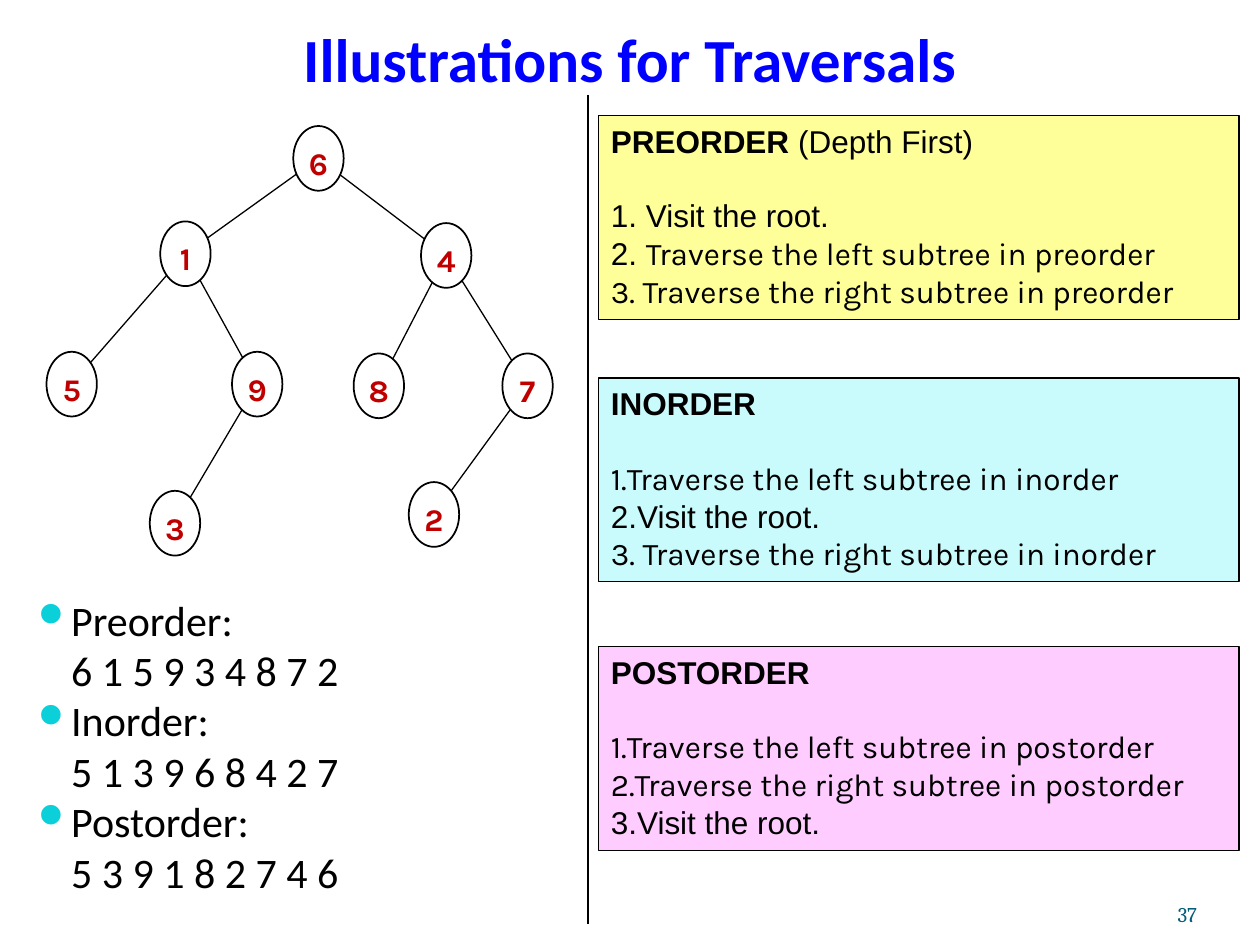
from dataclasses import dataclass
from math import hypot
from lxml.etree import SubElement as Sub
from pptx import Presentation
from pptx.dml.color import RGBColor as Rgb
from pptx.enum.shapes import MSO_CONNECTOR as Conn, MSO_SHAPE as Kind
from pptx.enum.text import MSO_ANCHOR as Anchor, PP_ALIGN as Align
from pptx.oxml.ns import qn
from pptx.util import Pt


@dataclass(frozen=True)
class Theme:
    ink: str = "000000"
    title: str = "0000FF"
    node: str = "C00000"
    dot: str = "0BD0D9"
    page: str = "045C75"
    pre: str = "FFFF99"
    mid: str = "C9FAFC"
    post: str = "FFCCFF"
    head: str = "Calibri"
    sans: str = "Arial"
    step: str = "Karla"
    serif: str = "Cambria"
    big: float = 35
    list: float = 24
    text: float = 18
    small: float = 12


T = Theme()

NODES = {
    "6": (156, 18.5), "1": (80, 73), "4": (229, 74),
    "5": (15, 147.5), "9": (121, 147.5), "8": (190.5, 148.5),
    "7": (275.5, 148.5), "3": (74, 227), "2": (222, 222),
}
EDGES = ["61", "64", "15", "19", "48", "47", "72", "93"]

ORDERS = [
    ("Preorder:", "6 1 5 9 3 4 8 7 2"),
    ("Inorder:", "5 1 3 9 6 8 4 2 7"),
    ("Postorder:", "5 3 9 1 8 2 7 4 6"),
]

PANELS = [
    (66, T.pre, "PREORDER", " (Depth First)", [
        (False, [("1. Visit the root.", T.sans)]),
        (False, [("2. ", T.sans),
                 ("Traverse the left subtree in preorder", T.step)]),
        (False, [("3. Traverse the right subtree in preorder", T.step)]),
    ]),
    (216, T.mid, "INORDER", "", [
        (True, [("Traverse the left subtree in inorder", T.step)]),
        (True, [("Visit the root.", T.sans)]),
        (False, [("3. Traverse the right subtree in inorder", T.step)]),
    ]),
    (369.5, T.post, "POSTORDER", "", [
        (True, [("Traverse the left subtree in postorder", T.step)]),
        (True, [("Traverse the right subtree in postorder", T.step)]),
        (True, [("Visit the root.", T.sans)]),
    ]),
]


def style(font, name, size, color, bold=False):
    font.name, font.size, font.bold = name, Pt(size), bold
    font.color.rgb = Rgb.from_string(color)


def inset(frame, left, top, right, low):
    frame.margin_left, frame.margin_top = Pt(left), Pt(top)
    frame.margin_right, frame.margin_bottom = Pt(right), Pt(low)


def indent(para, left, first):
    props = para._p.get_or_add_pPr()
    props.set("marL", str(Pt(left)))
    props.set("indent", str(Pt(first)))
    return props


def add_run(para, text, name, size, color, bold=False):
    run = para.add_run()
    run.text = text
    style(run.font, name, size, color, bold)


def add_line(shapes, start, end):
    line = shapes.add_connector(Conn.STRAIGHT, *map(Pt, start + end))
    line.line.color.rgb = Rgb.from_string(T.ink)
    line.line.width = Pt(0.75)
    Sub(line._element.spPr, qn("a:effectLst"))


def add_shape(shapes, kind, box, fill, width):
    shape = shapes.add_shape(kind, *map(Pt, box))
    shape.shadow.inherit = False
    if fill:
        shape.fill.solid()
        shape.fill.fore_color.rgb = Rgb.from_string(fill)
    else:
        shape.fill.background()
    shape.line.color.rgb = Rgb.from_string(T.ink)
    shape.line.width = Pt(width)
    return shape


def add_title(slide, box):
    title = slide.shapes.title
    title.left, title.top, title.width, title.height = map(Pt, box)
    frame = title.text_frame
    frame.text = "Illustrations for Traversals"
    frame.vertical_anchor = Anchor.BOTTOM
    inset(frame, 0, 3.6, 0, 0)
    para = frame.paragraphs[0]
    para.alignment = Align.CENTER
    style(para.runs[0].font, T.head, T.big, T.title, True)


def add_tree(slide, left, top, wide=28.8, high=37):
    group = slide.shapes.add_group_shape()
    spots = {key: (left + x, top + y) for key, (x, y) in NODES.items()}
    for key, (x, y) in spots.items():
        box = (x - wide / 2, y - high / 2, wide, high)
        node = add_shape(group.shapes, Kind.OVAL, box, None, 1)
        frame = node.text_frame
        frame.word_wrap = False
        frame.vertical_anchor = Anchor.MIDDLE
        inset(frame, 0, 5, 0, 0)
        frame.text = key
        para = frame.paragraphs[0]
        para.alignment = Align.CENTER
        style(para.runs[0].font, T.step, T.text, T.node, True)
    for up, down in EDGES:
        (x, y), (u, v) = spots[up], spots[down]
        trim = 1 / hypot((u - x) / (wide / 2), (v - y) / (high / 2))
        dx, dy = (u - x) * trim, (v - y) * trim
        add_line(group.shapes, (x + dx, y + dy), (u - dx, v - dy))


def add_orders(slide, box):
    frame = slide.shapes.add_textbox(*map(Pt, box)).text_frame
    frame.word_wrap = True
    frame.text = "\n".join(line for pair in ORDERS for line in pair)
    for spot, para in enumerate(frame.paragraphs):
        if spot % 2:
            indent(para, 21.6, 0)
        else:
            props = indent(para, 21.6, -21.6)
            Sub(Sub(props, qn("a:buClr")), qn("a:srgbClr"), val=T.dot)
            Sub(props, qn("a:buChar"), char="⚫")
        style(para.runs[0].font, T.head, T.list, T.ink)


def add_panel(slide, box, fill, name, note, steps):
    panel = add_shape(slide.shapes, Kind.RECTANGLE, box, fill, 0.75)
    frame = panel.text_frame
    frame.word_wrap = True
    frame.vertical_anchor = Anchor.TOP
    inset(frame, 7.2, 3.6, 7.2, 3.6)
    head = frame.paragraphs[0]
    head.alignment = Align.LEFT
    add_run(head, name, T.sans, T.text, T.ink, True)
    if note:
        add_run(head, note, T.sans, T.text, T.ink)
    for spot, (auto, runs) in enumerate(steps):
        para = frame.add_paragraph()
        para.alignment = Align.LEFT
        if spot == 0:
            para.space_before = Pt(21)
        if auto:
            props = indent(para, 0, -8.64)
            Sub(Sub(props, qn("a:buClr")), qn("a:srgbClr"), val=T.ink)
            Sub(props, qn("a:buAutoNum"), type="arabicPeriod")
        for text, font in runs:
            add_run(para, text, font, T.text, T.ink)


def add_page(slide, box):
    frame = slide.shapes.add_textbox(*map(Pt, box)).text_frame
    frame.word_wrap = True
    frame.vertical_anchor = Anchor.BOTTOM
    inset(frame, 0, 0, 0, 0)
    frame.text = "37"
    para = frame.paragraphs[0]
    para.alignment = Align.RIGHT
    style(para.runs[0].font, T.serif, T.small, T.page)


def main():
    deck = Presentation()
    deck.slide_width, deck.slide_height = Pt(720), Pt(540)
    slide = deck.slides.add_slide(deck.slide_layouts[5])
    add_title(slide, (54, 6, 612, 48))
    add_orders(slide, (12, 336, 306, 174))
    add_line(slide.shapes, (336, 54), (336, 528))
    add_tree(slide, 26, 72)
    for top, *rest in PANELS:
        add_panel(slide, (342, top, 366, 116.5), *rest)
    add_page(slide, (624, 500.5, 60, 28.8))
    deck.save("out.pptx")


if __name__ == "__main__":
    main()
